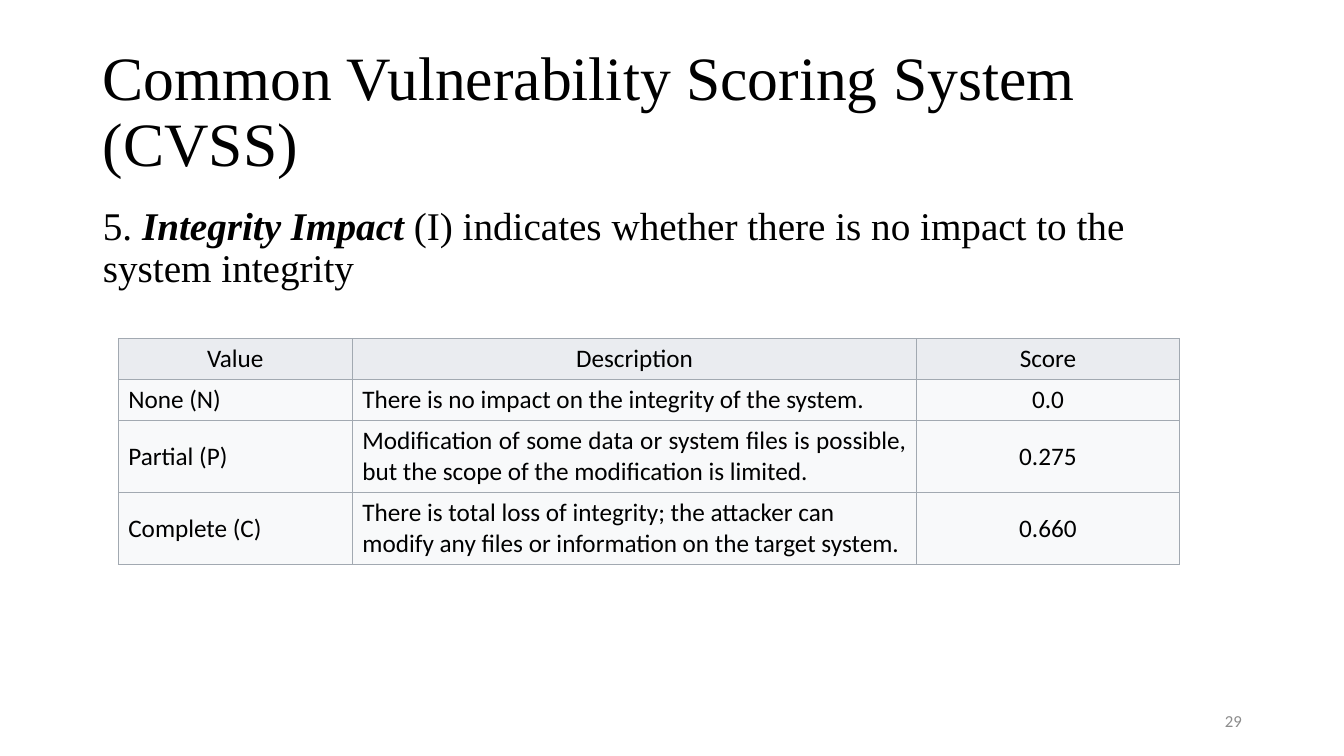
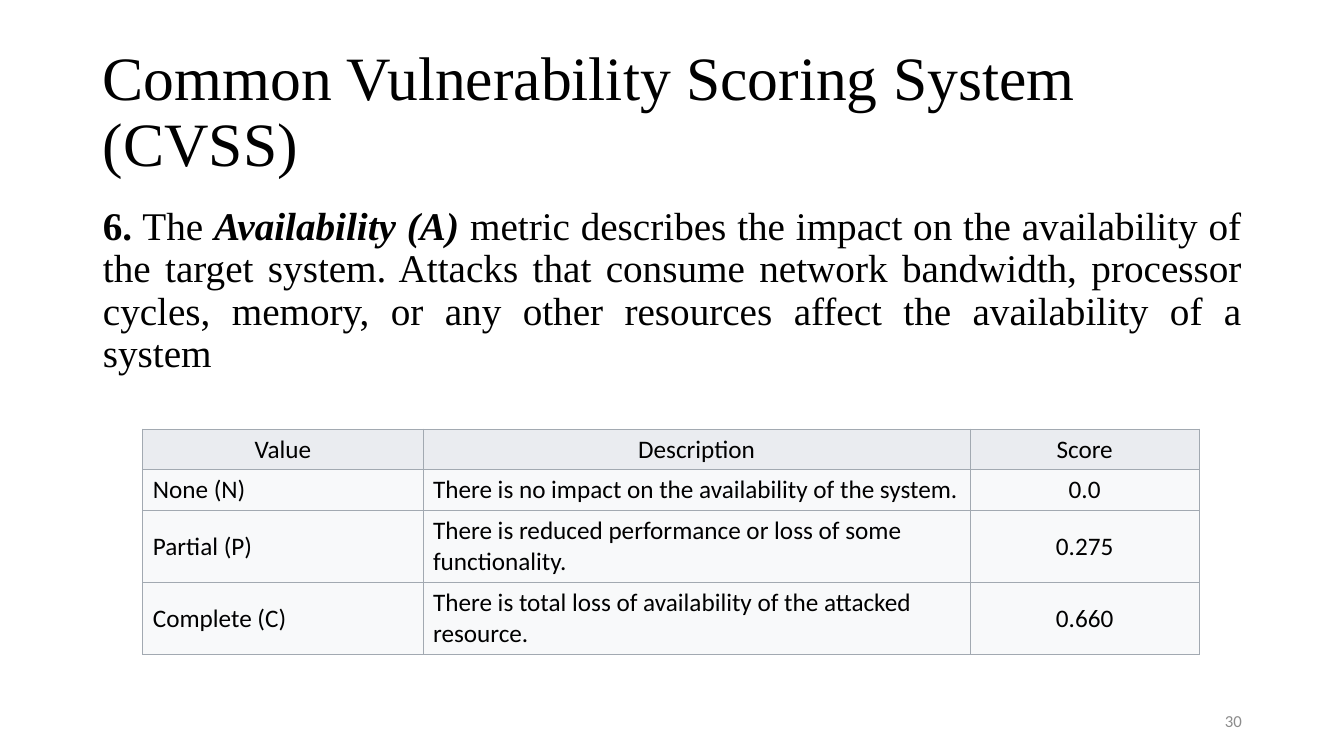
from dataclasses import dataclass

import pptx
import pptx.dml.color
import pptx.enum.text
import pptx.oxml
import pptx.oxml.ns
import pptx.slide
import pptx.table
import pptx.text.text
import pptx.util

Cm = pptx.util.Cm
Pt = pptx.util.Pt
Align = pptx.enum.text.PP_ALIGN
Anchor = pptx.enum.text.MSO_ANCHOR

# Shared style
COLORS = {
    "text": "000000",
    "page_number": "8C8C8C",
    "header_fill": "EAECF0",
    "row_fill": "F8F9FA",
    "border": "A2A9B1",
}
HEADING_FONT = "Times New Roman"
TABLE_FONT = "Calibri"
TITLE = "Common Vulnerability Scoring System (CVSS)"
HEADER = ("Value", "Description", "Score")
ROW_HEIGHTS = (1.03, 1.03, 1.81, 1.81)
LEFT, WIDTH = 2.34, 29.21


@dataclass(frozen=True)
class Span:
    text: str
    bold: bool = False
    italic: bool = False


@dataclass(frozen=True)
class Metric:
    """One CVSS metric: its definition and its score table (lengths in cm)."""
    number: int
    definition: tuple[Span, ...]
    align: Align
    table_left: float
    table_top: float
    columns: tuple[float, ...]
    rows: tuple[tuple[str, str, str], ...]
    justified_row: int | None = None


METRICS = (
    Metric(
        29,
        (
            Span("5. "),
            Span("Integrity Impact ", bold=True, italic=True),
            Span("(I) indicates whether there is no impact to the system integrity"),
        ),
        Align.LEFT, 2.98, 8.54, (5.9, 14.22, 6.62),
        (
            ("None (N)", "There is no impact on the integrity of the system.", "0.0"),
            ("Partial (P)", "Modification of some data or system files is possible, "
             "but the scope of the modification is limited.", "0.275"),
            ("Complete (C)", "There is total loss of integrity; the attacker can "
             "modify any files or information on the target system.", "0.660"),
        ),
        justified_row=2,
    ),
    Metric(
        30,
        (
            Span("6.", bold=True),
            Span(" The "),
            Span("Availability (A) ", bold=True, italic=True),
            Span("metric describes the impact on the availability of the target system. "
                 "Attacks that consume network bandwidth, processor cycles, memory, or "
                 "any other resources affect the availability of a system"),
        ),
        Align.JUSTIFY, 3.6, 10.81, (7.06, 13.79, 5.77),
        (
            ("None (N)", "There is no impact on the availability of the system.", "0.0"),
            ("Partial (P)", "There is reduced performance or loss of some functionality.",
             "0.275"),
            ("Complete (C)", "There is total loss of availability of the attacked resource.",
             "0.660"),
        ),
    ),
)


def rgb(name: str) -> pptx.dml.color.RGBColor:
    return pptx.dml.color.RGBColor.from_string(COLORS[name])


def style_runs(para: pptx.text.text._Paragraph, font: str, size: float,
               color: str = "text") -> None:
    for run in para.runs:
        run.font.name = font
        run.font.size = Pt(size)
        run.font.color.rgb = rgb(color)


def place(box, left: float, top: float, width: float, height: float) -> None:
    box.left, box.top, box.width, box.height = map(Cm, (left, top, width, height))
    box.text_frame.word_wrap = True
    box.text_frame.auto_size = pptx.enum.text.MSO_AUTO_SIZE.NONE


# Title and definition
def add_title(page: pptx.slide.Slide) -> None:
    box = page.shapes.title
    place(box, LEFT, 1.02, WIDTH, 3.68)
    box.text_frame.text = TITLE
    box.text_frame.vertical_anchor = Anchor.MIDDLE
    para = box.text_frame.paragraphs[0]
    para.alignment = Align.LEFT
    para.line_spacing = 0.9
    style_runs(para, HEADING_FONT, 44)


def add_definition(page: pptx.slide.Slide, metric: Metric) -> None:
    box = page.placeholders[1]
    place(box, LEFT, 5.08, WIDTH, 12.09)
    para = box.text_frame.paragraphs[0]
    para.alignment = metric.align
    para.line_spacing = 0.9
    para.space_before = Pt(0)
    properties = para._p.get_or_add_pPr()
    properties.set("marL", "0")
    properties.set("indent", "0")
    properties.append(pptx.oxml.parse_xml(
        f'<a:buNone {pptx.oxml.ns.nsdecls("a")}/>'))
    for span in metric.definition:
        run = para.add_run()
        run.text = span.text
        run.font.bold = span.bold
        run.font.italic = span.italic
    style_runs(para, HEADING_FONT, 28)


# Score table
def add_borders(cell: pptx.table._Cell) -> None:
    properties = cell._tc.get_or_add_tcPr()
    for position, side in enumerate(("lnL", "lnR", "lnT", "lnB")):
        properties.insert(position, pptx.oxml.parse_xml(
            f'<a:{side} {pptx.oxml.ns.nsdecls("a")} w="{Pt(0.75)}"><a:solidFill>'
            f'<a:srgbClr val="{COLORS["border"]}"/></a:solidFill></a:{side}>'))


def cell_alignment(metric: Metric, row: int, column: int) -> Align:
    if row == 0 or column == 2:
        return Align.CENTER
    if column == 1 and row == metric.justified_row:
        return Align.JUSTIFY
    return Align.LEFT


def add_score_table(page: pptx.slide.Slide, metric: Metric) -> None:
    lines = (HEADER, *metric.rows)
    table = page.shapes.add_table(
        len(lines), len(HEADER), Cm(metric.table_left), Cm(metric.table_top),
        Cm(sum(metric.columns)), Cm(sum(ROW_HEIGHTS))).table
    table.first_row = False
    table.horz_banding = False
    for column, width in zip(table.columns, metric.columns):
        column.width = Cm(width)
    for row_index, (line, height) in enumerate(zip(lines, ROW_HEIGHTS)):
        table.rows[row_index].height = Cm(height)
        for column_index, text in enumerate(line):
            cell = table.cell(row_index, column_index)
            cell.text_frame.text = text
            cell.vertical_anchor = Anchor.MIDDLE
            cell.fill.solid()
            cell.fill.fore_color.rgb = rgb("row_fill" if row_index else "header_fill")
            add_borders(cell)
            para = cell.text_frame.paragraphs[0]
            para.alignment = cell_alignment(metric, row_index, column_index)
            style_runs(para, TABLE_FONT, 18)


# Footer
def add_page_number(page: pptx.slide.Slide, number: int) -> None:
    box = page.shapes.add_textbox(0, 0, 0, 0)
    place(box, 23.93, 17.65, 7.62, 1.01)
    box.text_frame.text = str(number)
    box.text_frame.vertical_anchor = Anchor.MIDDLE
    para = box.text_frame.paragraphs[0]
    para.alignment = Align.RIGHT
    style_runs(para, TABLE_FONT, 12, "page_number")


def main() -> None:
    deck = pptx.Presentation()
    deck.slide_width, deck.slide_height = Cm(33.87), Cm(19.05)
    for metric in METRICS:
        page = deck.slides.add_slide(deck.slide_layouts[1])
        add_title(page)
        add_definition(page, metric)
        add_score_table(page, metric)
        add_page_number(page, metric.number)
    deck.save("out.pptx")


if __name__ == "__main__":
    main()
